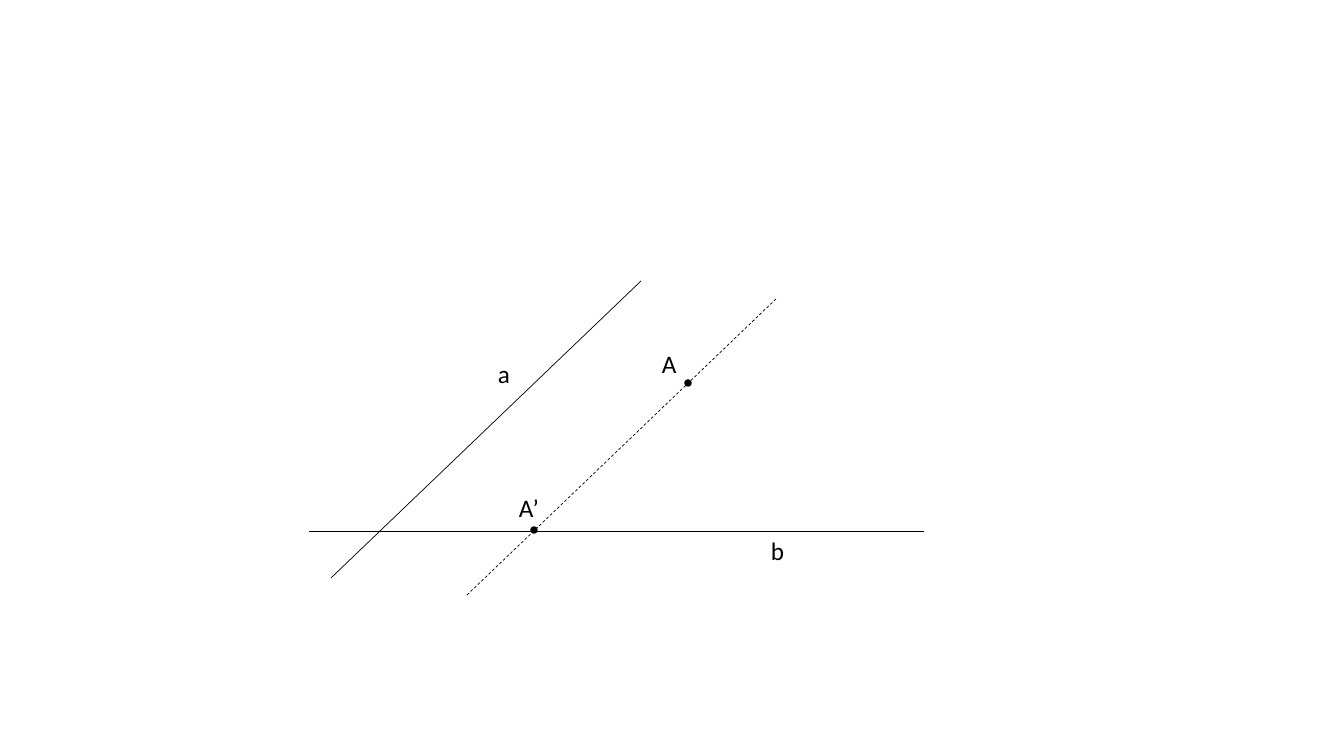
from dataclasses import dataclass

import pptx
import pptx.dml.color
import pptx.enum.dml
import pptx.enum.shapes
import pptx.enum.text
import pptx.oxml.xmlchemy
import pptx.slide
import pptx.util
from lxml import etree
from pptx.oxml import ns

PX_PER_INCH = 100.8
COLOURS = {"ink": "000000"}
FONT = "Calibri"
POINT_SIZE = 6
LABEL_HEIGHT = 40


@dataclass(frozen=True)
class Line:
    x1: int
    y1: int
    x2: int
    y2: int
    dashed: bool = False

    def parallel(self, dx: int, dy: int) -> "Line":
        """Return the dashed parallel, moved by dx and dy."""
        return Line(self.x1 + dx, self.y1 + dy, self.x2 + dx, self.y2 + dy, True)


@dataclass(frozen=True)
class Point:
    x: int
    y: int


@dataclass(frozen=True)
class Label:
    text: str
    left: int
    top: int
    width: int = 32


LINE_B = Line(309, 531, 924, 531)
LINE_A = Line(331, 578, 641, 281)
LINES = [LINE_B, LINE_A, LINE_A.parallel(136, 17)]
POINTS = [Point(534, 530), Point(688, 383)]
LABELS = [
    Label("A", 652, 343),
    Label("A’", 509, 487, 41),
    Label("a", 488, 353),
    Label("b", 761, 530),
]


def px(length: int) -> pptx.util.Emu:
    return pptx.util.Inches(length / PX_PER_INCH)


def colour(name: str) -> pptx.dml.color.RGBColor:
    return pptx.dml.color.RGBColor.from_string(COLOURS[name])


def draw_line(slide: pptx.slide.Slide, line: Line) -> None:
    connector = slide.shapes.add_connector(
        pptx.enum.shapes.MSO_CONNECTOR.STRAIGHT,
        px(line.x1), px(line.y1), px(line.x2), px(line.y2),
    )
    connector.line.color.rgb = colour("ink")
    connector.line.width = pptx.util.Pt(0.5)
    if line.dashed:
        connector.line.dash_style = pptx.enum.dml.MSO_LINE.DASH
    etree.SubElement(connector._element.spPr, ns.qn("a:effectLst"))


def draw_point(slide: pptx.slide.Slide, point: Point) -> None:
    dot = slide.shapes.add_shape(
        pptx.enum.shapes.MSO_SHAPE.OVAL,
        px(point.x - POINT_SIZE // 2), px(point.y - POINT_SIZE // 2),
        px(POINT_SIZE), px(POINT_SIZE),
    )
    dot.shadow.inherit = False
    dot.fill.solid()
    dot.fill.fore_color.rgb = colour("ink")
    dot.line.color.rgb = colour("ink")
    dot.line.width = pptx.util.Pt(1)


def draw_label(slide: pptx.slide.Slide, label: Label) -> None:
    frame = slide.shapes.add_textbox(
        px(label.left), px(label.top), px(label.width), px(LABEL_HEIGHT)
    ).text_frame
    frame.word_wrap = True
    frame.auto_size = pptx.enum.text.MSO_AUTO_SIZE.SHAPE_TO_FIT_TEXT
    letter = frame.paragraphs[0].add_run()
    letter.text = label.text
    letter.font.name = FONT
    letter.font.size = pptx.util.Pt(18)
    letter.font.color.rgb = colour("ink")


def main() -> None:
    deck = pptx.Presentation()
    deck.slide_width = px(1344)
    deck.slide_height = px(756)
    slide = deck.slides.add_slide(deck.slide_layouts[6])
    for line in LINES:
        draw_line(slide, line)
    for point in POINTS:
        draw_point(slide, point)
    for label in LABELS:
        draw_label(slide, label)
    deck.save("out.pptx")


if __name__ == "__main__":
    main()
